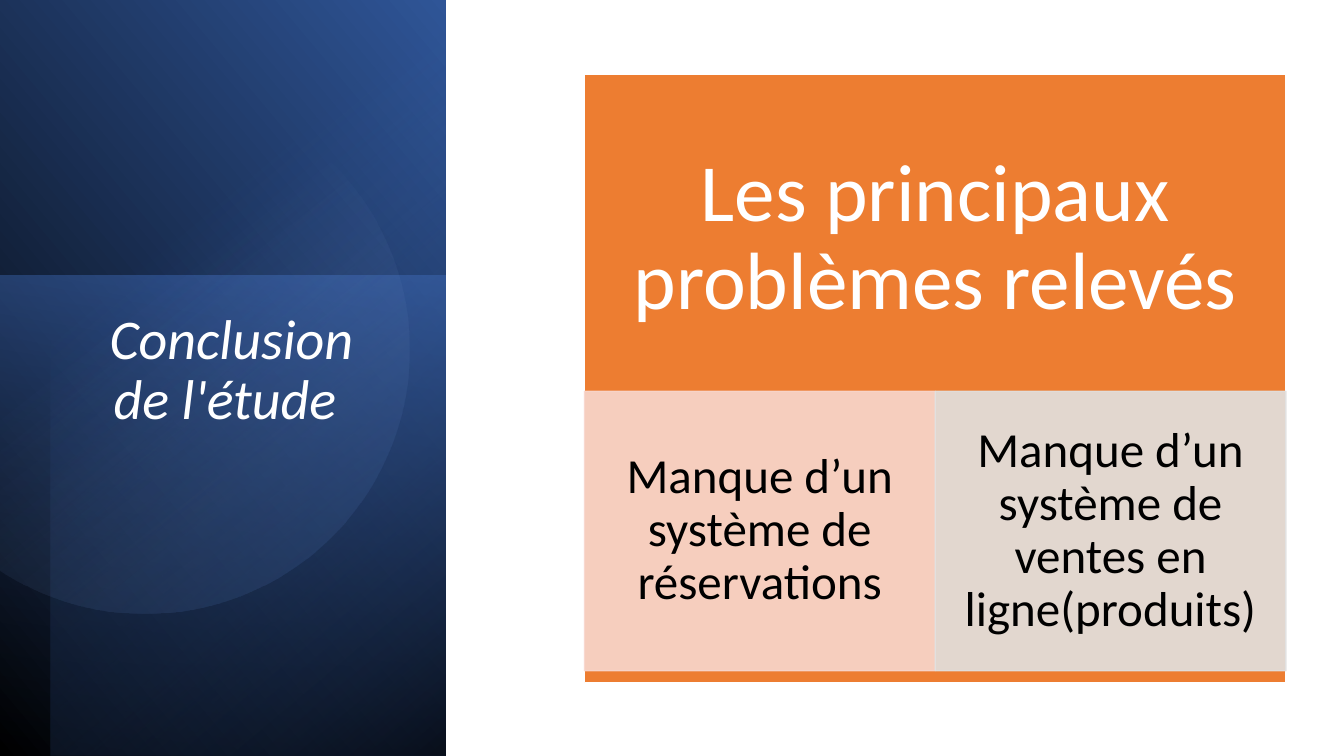
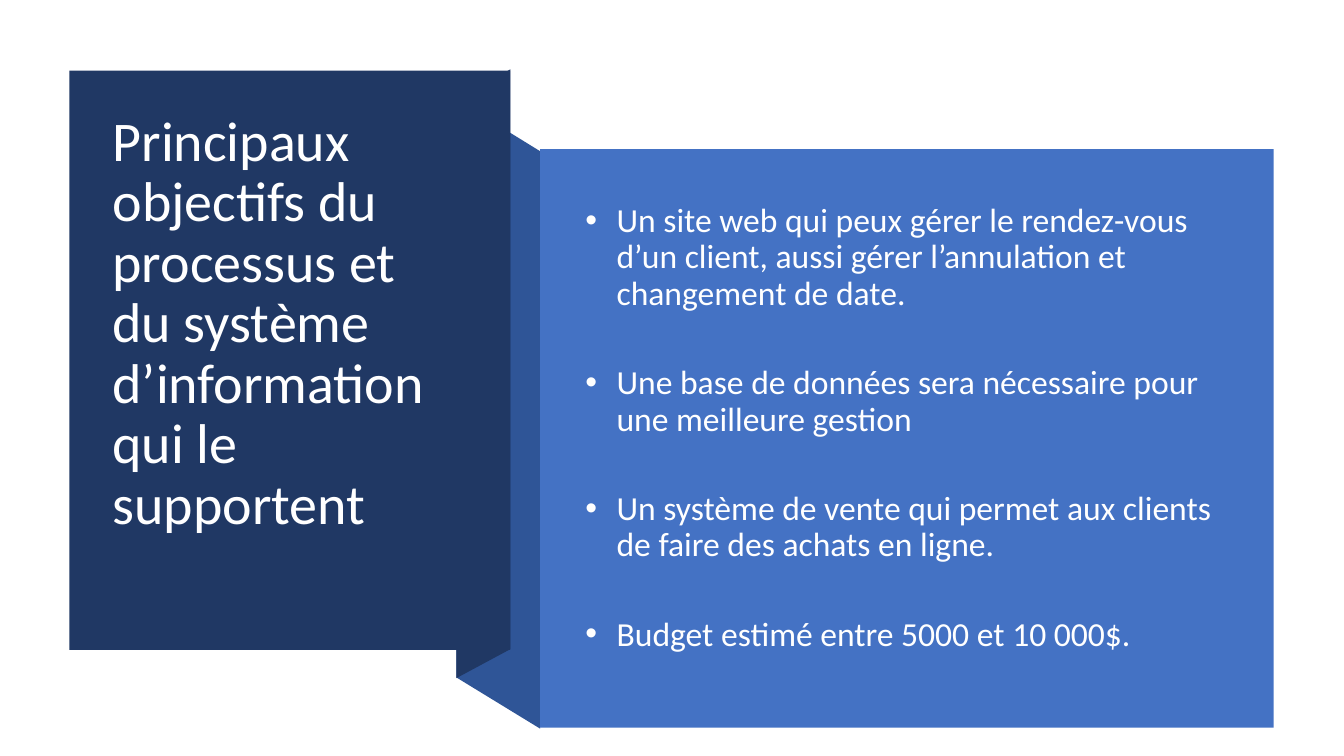
import math
from dataclasses import dataclass

import pptx
import pptx.dml.color
import pptx.enum.shapes
import pptx.enum.text
import pptx.oxml
import pptx.oxml.ns
import pptx.util

Cm, Pt = pptx.util.Cm, pptx.util.Pt
ALIGN = pptx.enum.text.PP_ALIGN
ANCHOR = pptx.enum.text.MSO_ANCHOR
RECTANGLE = pptx.enum.shapes.MSO_SHAPE.RECTANGLE


# Content (non-breaking spaces keep some words together)
CONCLUSION_TITLE = "Conclusion de l'étude "
PROBLEMS_HEADING = "Les principaux problèmes relevés"
PROBLEMS = [
    "Manque d’un système de réservations",
    "Manque d’un système de ventes en ligne(produits)",
]
GOALS_TITLE = (
    "Principaux objectifs du processus et du système d’information qui "
    "le supportent"
)
GOALS = [
    "Un site web qui peux gérer le rendez-vous d’un client, "
    "aussi gérer l’annulation et changement de date.",
    "Une base de données sera nécessaire pour une meilleure gestion",
    "Un système de vente qui permet aux clients de faire des achats en ligne.",
    "Budget estimé entre 5000 et 10 000$.",
]


# Theme
@dataclass(frozen=True)
class Theme:
    font: str = "Calibri"
    white: str = "FFFFFF"
    black: str = "000000"
    blue: str = "4472C4"
    mid_blue: str = "2F5597"
    navy: str = "203864"
    pale_blue: str = "8FAADC"
    orange: str = "ED7D31"
    problem_fills: tuple = ("F8D7CE", "E1E1E1")
    title_size: int = 40
    heading_size: int = 58
    problem_size: int = 35
    goal_size: int = 24
    line_spacing: float = 0.9


THEME = Theme()
SLIDE_W, SLIDE_H = 33.87, 19.05  # all layout numbers are centimetres


# Helpers
def rgb(color):
    return pptx.dml.color.RGBColor.from_string(color)


def style(shape, color=None, line=None):
    shape.shadow.inherit = False
    if color:
        shape.fill.solid()
        shape.fill.fore_color.rgb = rgb(color)
    if line:
        shape.line.color.rgb = rgb(line)
        shape.line.width = Pt(1)
    else:
        shape.line.fill.background()
    return shape


def add_rect(slide, box, color=None, line=None):
    rect = slide.shapes.add_shape(RECTANGLE, *map(Cm, box))
    return style(rect, color, line)


def add_outline(slide, points, color=None):
    corners = [(Cm(x), Cm(y)) for x, y in points]
    builder = slide.shapes.build_freeform(*corners[0], scale=1.0)
    builder.add_line_segments(corners[1:], close=True)
    return style(builder.convert_to_shape(), color)


def set_opacity(shape, percent):
    tag = pptx.oxml.ns.qn("a:srgbClr")
    for color in shape._element.spPr.iter(tag):
        color.append(pptx.oxml.parse_xml(
            f'<a:alpha {pptx.oxml.ns.nsdecls("a")} val="{percent * 1000}"/>'))


def set_gradient(shape, angle, stops):
    """Each stop is (position, colour, opacity), in percent."""
    shape.fill.gradient()
    old = shape._element.spPr.find(pptx.oxml.ns.qn("a:gradFill"))
    stop_xml = "".join(
        f'<a:gs pos="{pos * 1000}"><a:srgbClr val="{color}">'
        f'<a:alpha val="{opacity * 1000}"/></a:srgbClr></a:gs>'
        for pos, color, opacity in stops)
    old.getparent().replace(old, pptx.oxml.parse_xml(
        f'<a:gradFill {pptx.oxml.ns.nsdecls("a")} rotWithShape="1">'
        f'<a:gsLst>{stop_xml}</a:gsLst>'
        f'<a:lin ang="{angle * 60000}" scaled="0"/></a:gradFill>'))


def write(shape, texts, size, color=THEME.white, align=ALIGN.LEFT,
          anchor=ANCHOR.MIDDLE, insets=(0.25, 0.13, 0.25, 0.13),
          italic=False, gap=0):
    frame = shape.text_frame
    frame.word_wrap = True
    frame.vertical_anchor = anchor
    (frame.margin_left, frame.margin_top,
     frame.margin_right, frame.margin_bottom) = map(Cm, insets)
    frame.text = "\n".join(texts)
    for index, paragraph in enumerate(frame.paragraphs):
        paragraph.alignment = align
        paragraph.line_spacing = THEME.line_spacing
        paragraph.space_before = Pt(gap if index else 0)
        paragraph.font.name = THEME.font
        paragraph.font.size = Pt(size)
        paragraph.font.italic = italic
        paragraph.font.color.rgb = rgb(color)
    return frame


def add_title(slide, box, text, **options):
    title = slide.shapes.add_textbox(*map(Cm, box))
    write(title, [text], THEME.title_size, anchor=ANCHOR.TOP, **options)


def add_bullets(frame, indent):
    for paragraph in frame.paragraphs:
        properties = paragraph._p.get_or_add_pPr()
        properties.set("marL", str(Cm(indent)))
        properties.set("indent", str(-Cm(indent)))
        for bullet in ('buFont typeface="Arial"', 'buChar char="•"'):
            name, attribute = bullet.split(" ")
            properties.append(pptx.oxml.parse_xml(
                f'<a:{name} {pptx.oxml.ns.nsdecls("a")} {attribute}/>'))


# Slide 1: conclusion
def build_conclusion(slide):
    # Layered gradient band on the left
    band_w, glow_top, shade_left = 11.23, 6.95, 1.27
    layers = [
        ((0, 0, band_w, SLIDE_H), 320,
         [(0, THEME.black, 100), (100, THEME.mid_blue, 100)]),
        ((0, glow_top, band_w, SLIDE_H - glow_top), 100,
         [(0, THEME.blue, 50), (100, THEME.navy, 0)]),
        ((shade_left, 0, band_w - shade_left, SLIDE_H), 230,
         [(0, THEME.black, 59), (69, THEME.blue, 0), (100, THEME.blue, 0)]),
    ]
    for box, angle, stops in layers:
        set_gradient(add_rect(slide, box), angle, stops)

    # Disc cut off by the slide's left edge
    center_x, center_y, radius = 3.66, 8.81, 6.65
    reach = math.acos(-center_x / radius)
    steps = 120
    angles = [reach * (2 * step / steps - 1) for step in range(steps + 1)]
    disc = add_outline(slide, [
        (max(0, center_x + radius * math.cos(a)),
         center_y + radius * math.sin(a)) for a in angles])
    set_gradient(disc, 52, [(0, THEME.pale_blue, 0), (39, THEME.pale_blue, 0),
                            (100, THEME.mid_blue, 26)])

    add_title(slide, (1.83, 7.7, 8, 8.53), CONCLUSION_TITLE,
              align=ALIGN.CENTER, italic=True)

    # Heading block with one cell per problem
    left, top, width, height = 14.73, 1.88, 17.68, 15.32
    heading_h, inset = 8.28, 1.14
    heading = add_rect(slide, (left, top, width, height),
                       THEME.orange, THEME.white)
    write(heading, [PROBLEMS_HEADING], THEME.heading_size, align=ALIGN.CENTER,
          insets=(inset, inset, inset, height - heading_h + inset))
    cell_w, cell_top, cell_h = width / len(PROBLEMS), 9.86, 7.04
    for index, (text, color) in enumerate(zip(PROBLEMS, THEME.problem_fills)):
        cell = add_rect(slide, (left + index * cell_w, cell_top, cell_w, cell_h),
                        color, color)
        set_opacity(cell, 90)
        write(cell, [text], THEME.problem_size, THEME.black, ALIGN.CENTER,
              insets=(0.69, 0.13, 0.69, 0.13))


# Slide 2: goals
def build_goals(slide):
    # Folded ribbon joining the title card to the panel
    fold_x, card_right, panel_left = 11.5, 12.86, 13.61
    add_outline(slide, [(panel_left, 18.36), (fold_x, 17.07),
                        (fold_x, 2.51), (panel_left, 3.81)], THEME.mid_blue)
    add_outline(slide, [(card_right, 16.36), (fold_x, 17.09),
                        (fold_x, 2.49), (card_right, 1.75)], THEME.navy)
    card_left = 1.75
    add_rect(slide, (card_left, 1.78, card_right - card_left, 14.6), THEME.navy)
    add_title(slide, (2.59, 2.72, 9.42, 12.67), GOALS_TITLE)

    # Goals panel
    add_rect(slide, (panel_left, 3.76, 18.49, 14.58), THEME.blue)
    goals = slide.shapes.add_textbox(*map(Cm, (14.5, 4.78, 16.54, 12.04)))
    add_bullets(write(goals, GOALS, THEME.goal_size, gap=38), 0.79)


def main():
    deck = pptx.Presentation()
    deck.slide_width, deck.slide_height = Cm(SLIDE_W), Cm(SLIDE_H)
    blank = deck.slide_layouts[6]
    for build in (build_conclusion, build_goals):
        build(deck.slides.add_slide(blank))
    deck.save("out.pptx")


if __name__ == "__main__":
    main()
